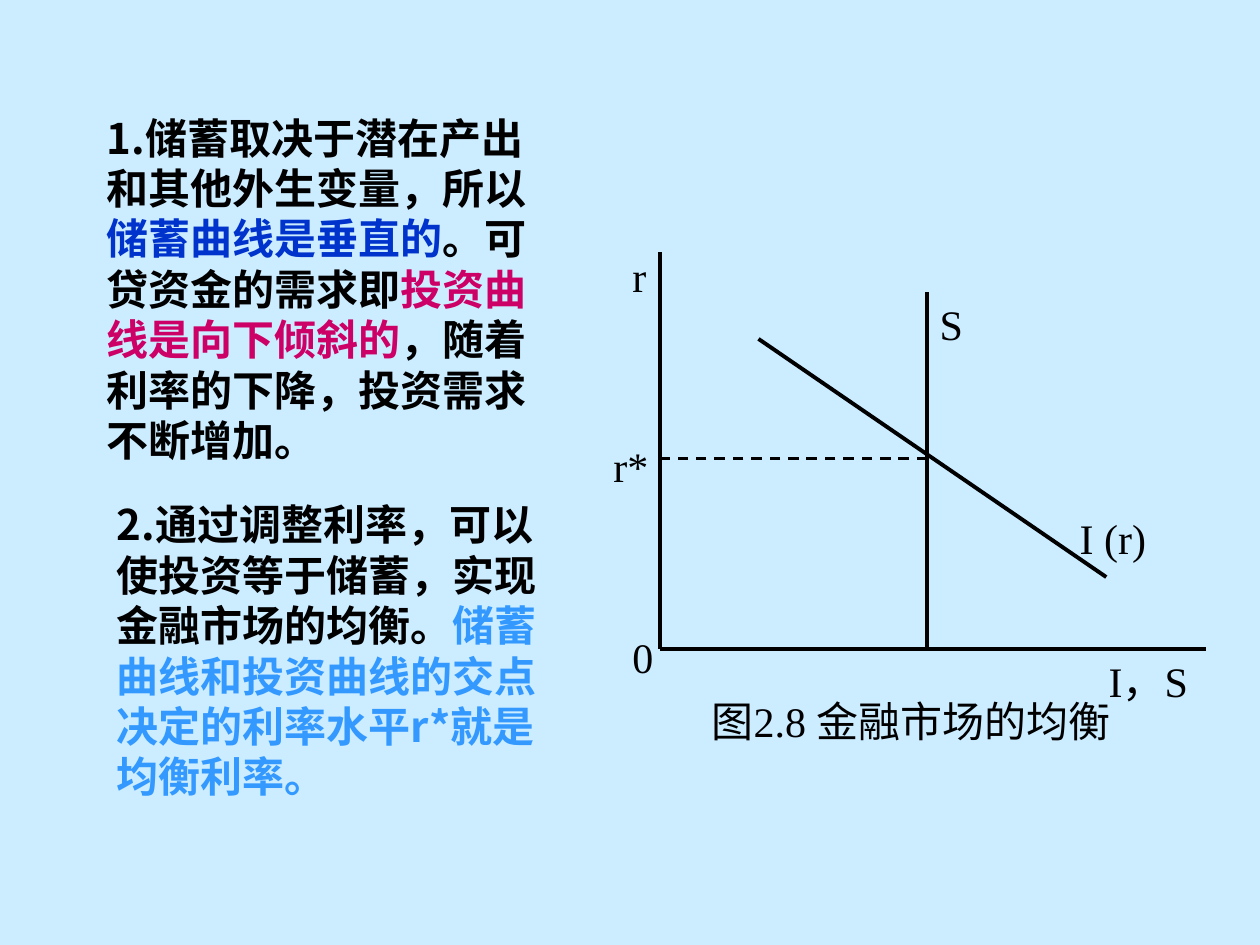
from typing import NamedTuple

from lxml.etree import SubElement
from pptx import Presentation
from pptx.dml.color import RGBColor
from pptx.enum.dml import MSO_LINE_DASH_STYLE as Dash
from pptx.enum.shapes import MSO_CONNECTOR as Connector
from pptx.enum.text import MSO_AUTO_SIZE as AutoSize
from pptx.oxml.ns import qn
from pptx.util import Inches, Pt

COLORS = {
    "background": "CCECFF",
    "ink": "000000",
    "saving": "0033CC",
    "investment": "CC0066",
    "equilibrium": "3399FF",
}
SERIF, SANS = "Times New Roman", "Noto Sans CJK SC"

# Key positions of the diagram, in inches
AXIS_X, AXIS_Y = 5.24, 5.15
SAVING_X, RATE_Y = 7.36, 3.64
AXIS_TOP, SAVING_TOP, AXIS_RIGHT = 2, 2.32, 9.57
LABEL_HEIGHT = 0.5


class Segment(NamedTuple):
    x1: float
    y1: float
    x2: float
    y2: float
    weight: float = 2.25
    dashed: bool = False


class Phrase(NamedTuple):
    text: str
    color: str = "ink"


class TextBlock(NamedTuple):
    left: float
    top: float
    width: float
    height: float
    phrases: list[Phrase]


def label(left: float, top: float, width: float, text: str) -> TextBlock:
    return TextBlock(left, top, width, LABEL_HEIGHT, [Phrase(text)])


SEGMENTS = [
    Segment(AXIS_X, AXIS_TOP, AXIS_X, AXIS_Y),
    Segment(AXIS_X, AXIS_Y, AXIS_RIGHT, AXIS_Y),
    Segment(SAVING_X, SAVING_TOP, SAVING_X, AXIS_Y),
    Segment(6.02, 2.69, 8.78, 4.58),
    Segment(SAVING_X, RATE_Y, AXIS_X, RATE_Y, 1.5, True),
]
LABELS = [
    label(4.92, 1.94, 0.31, "r"),
    label(4.77, 3.45, 0.48, "r*"),
    label(4.92, 4.96, 0.36, "0"),
    label(8.7, AXIS_Y, 0.99, "I，S"),
    label(8.47, 4.02, 0.73, "I (r)"),
    label(SAVING_X, SAVING_TOP, 0.38, "S"),
    label(5.55, 5.47, 3.52, "图2.8 金融市场的均衡"),
]
EXPLANATIONS = [
    TextBlock(0.75, 0.84, 3.78, 2.9, [
        Phrase("1.储蓄取决于潜在产出和其他外生变量，所以"),
        Phrase("储蓄曲线是垂直的", "saving"),
        Phrase("。可贷资金的需求即"),
        Phrase("投资曲线是向下倾斜的", "investment"),
        Phrase("，随着利率的下降，投资需求不断增加。"),
    ]),
    TextBlock(0.83, 3.91, 3.7, 2.5, [
        Phrase("2.通过调整利率，可以使投资等于储蓄，实现金融市场的均衡。"),
        Phrase("储蓄曲线和投资曲线的交点决定的利率水平r*就是均衡利率。", "equilibrium"),
    ]),
]


def rgb(name: str) -> RGBColor:
    return RGBColor.from_string(COLORS[name])


def draw_segment(shapes, segment: Segment) -> None:
    ends = [Inches(value) for value in segment[:4]]
    line = shapes.add_connector(Connector.STRAIGHT, *ends)
    line.line.color.rgb = rgb("ink")
    line.line.width = Pt(segment.weight)
    if segment.dashed:
        line.line.dash_style = Dash.DASH
    SubElement(line._element.spPr, qn("a:effectLst"))


def draw_text(shapes, block: TextBlock, font: str, bold: bool, wrap: bool) -> None:
    frame = shapes.add_textbox(*[Inches(value) for value in block[:4]]).text_frame
    frame.word_wrap = wrap
    frame.auto_size = AutoSize.SHAPE_TO_FIT_TEXT
    paragraph = frame.paragraphs[0]
    paragraph.font.name = font
    paragraph.font.size = Pt(24)
    paragraph.font.bold = bold
    # Chinese characters take the sans face in every block
    defaults = paragraph._p.get_or_add_pPr().get_or_add_defRPr()
    SubElement(defaults, qn("a:ea"), typeface=SANS)
    for phrase in block.phrases:
        run = paragraph.add_run()
        run.text = phrase.text
        run.font.color.rgb = rgb(phrase.color)


def main() -> None:
    deck = Presentation()
    deck.slide_width, deck.slide_height = Inches(10), Inches(7.5)
    slide = deck.slides.add_slide(deck.slide_layouts[6])
    slide.background.fill.solid()
    slide.background.fill.fore_color.rgb = rgb("background")

    # Saving and investment diagram
    diagram = slide.shapes.add_group_shape().shapes
    for segment in SEGMENTS:
        draw_segment(diagram, segment)
    for text in LABELS:
        draw_text(diagram, text, SERIF, bold=False, wrap=False)

    # Explanations on the left
    for explanation in EXPLANATIONS:
        draw_text(slide.shapes, explanation, SANS, bold=True, wrap=True)

    deck.save("out.pptx")


if __name__ == "__main__":
    main()
